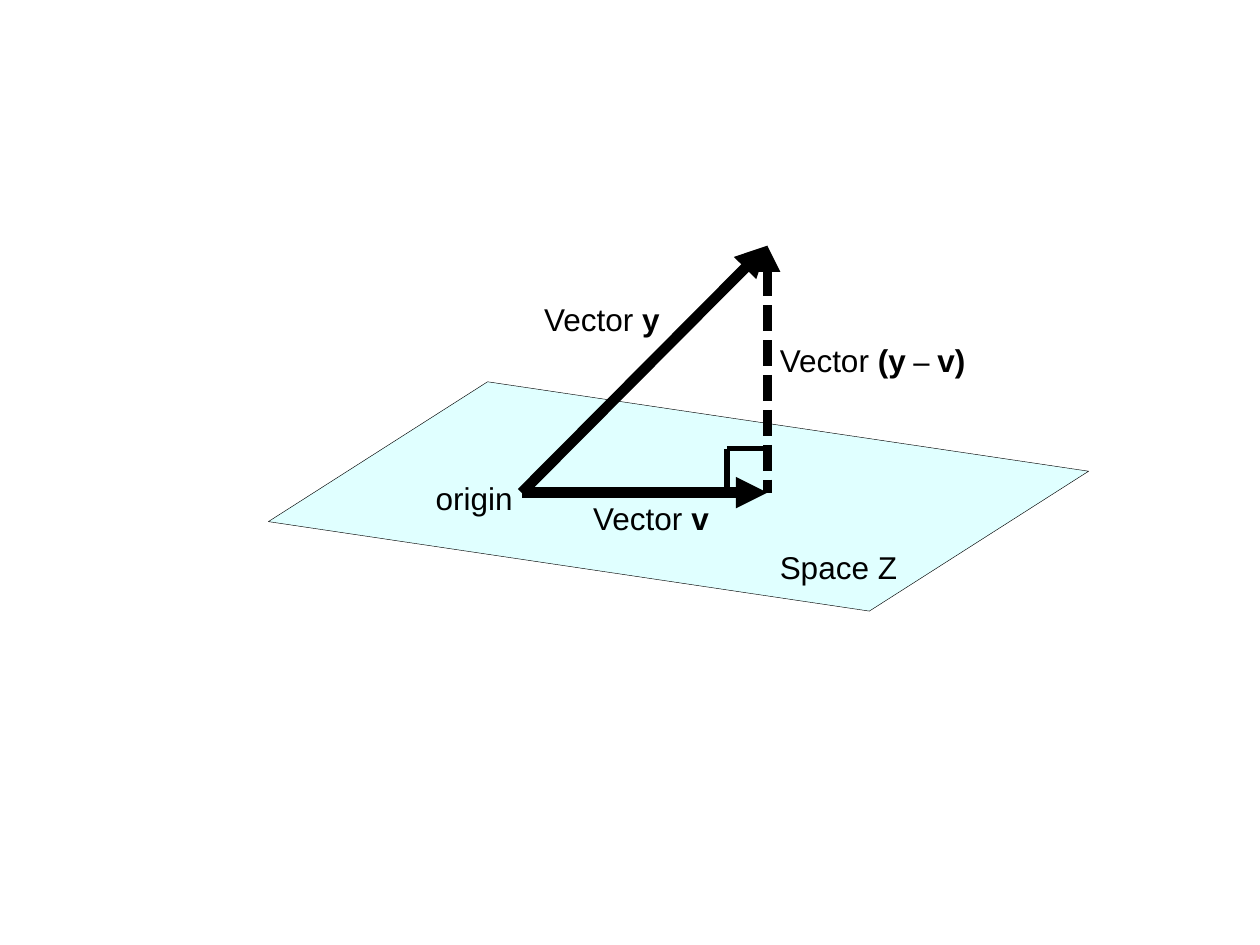
from pptx import Presentation
from pptx.dml.color import RGBColor
from pptx.enum.dml import MSO_LINE_DASH_STYLE as DASH
from pptx.enum.shapes import MSO_CONNECTOR
from pptx.enum.text import MSO_AUTO_SIZE
from pptx.oxml.ns import qn
from pptx.util import Inches, Pt
from lxml.etree import SubElement

BLACK = RGBColor(0x00, 0x00, 0x00)
PALE_CYAN = RGBColor(0xE0, 0xFF, 0xFF)
SANS, SERIF = "Arial", "Times New Roman"

# Geometry in inches
ORIGIN, FOOT, TIP = (4.14, 3.91), (6.09, 3.91), (6.09, 1.95)
CORNER = (5.77, 3.56)
PLANE = [(3.87, 3.03), (8.64, 3.74), (6.9, 4.85), (2.13, 4.14)]

# start, end, width in points, arrowhead element, dash
LINES = [
    (ORIGIN, TIP, 6, "a:tailEnd", None),
    (ORIGIN, FOOT, 6, "a:tailEnd", None),
    (TIP, FOOT, 5, "a:headEnd", DASH.SQUARE_DOT),
    (CORNER, (FOOT[0], CORNER[1]), 3, None, None),
    (CORNER, (CORNER[0], FOOT[1]), 3, None, None),
]

# left, top, width, wrap, runs of (text, bold, font)
LABELS = [
    (6.09, 4.3, 1.25, True, [("Space Z", False, SANS)]),
    (4.22, 2.33, 1.13, False, [("Vector ", False, SANS), ("y", True, SANS)]),
    (4.61, 3.91, 1.13, False, [("Vector ", False, SANS), ("v", True, SANS)]),
    (6.09, 2.66, 1.69, False, [("Vector ", False, SANS), ("(y", True, SANS),
                               (" – ", True, SERIF), ("v)", True, SANS)]),
    (3.36, 3.75, 0.86, True, [("origin", False, SANS)]),
]
LABEL_HEIGHT = 0.4


def emu(point):
    return tuple(Inches(v) for v in point)


def add_plane(s):
    builder = s.shapes.build_freeform(*emu(PLANE[0]))
    builder.add_line_segments([emu(p) for p in PLANE[1:]], close=True)
    sp = builder.convert_to_shape()
    sp.shadow.inherit = False
    sp.fill.solid()
    sp.fill.fore_color.rgb = PALE_CYAN
    sp.line.color.rgb = BLACK
    sp.line.width = Pt(0.25)


def add_line(s, start, end, width, arrow, dash):
    line = s.shapes.add_connector(MSO_CONNECTOR.STRAIGHT, *emu(start), *emu(end))
    line.line.color.rgb = BLACK
    line.line.width = Pt(width)
    if dash:
        line.line.dash_style = dash
    ln = line.line._get_or_add_ln()
    SubElement(ln, qn("a:round"))
    if arrow:
        SubElement(ln, qn(arrow), type="triangle")
    SubElement(line._element.spPr, qn("a:effectLst"))


def add_label(s, left, top, width, wrap, runs):
    box = s.shapes.add_textbox(*emu((left, top, width, LABEL_HEIGHT)))
    tf = box.text_frame
    tf.word_wrap = wrap
    tf.auto_size = MSO_AUTO_SIZE.SHAPE_TO_FIT_TEXT
    for text, bold, font in runs:
        r = tf.paragraphs[0].add_run()
        r.text = text
        r.font.name, r.font.size, r.font.bold = font, Pt(18), bold
        r.font.color.rgb = BLACK


prs = Presentation()
prs.slide_width, prs.slide_height = emu((10, 7.5))
s = prs.slides.add_slide(prs.slide_layouts[6])

# Plane, then vectors and right-angle mark, then labels
add_plane(s)
for line in LINES:
    add_line(s, *line)
for label in LABELS:
    add_label(s, *label)

prs.save("out.pptx")
